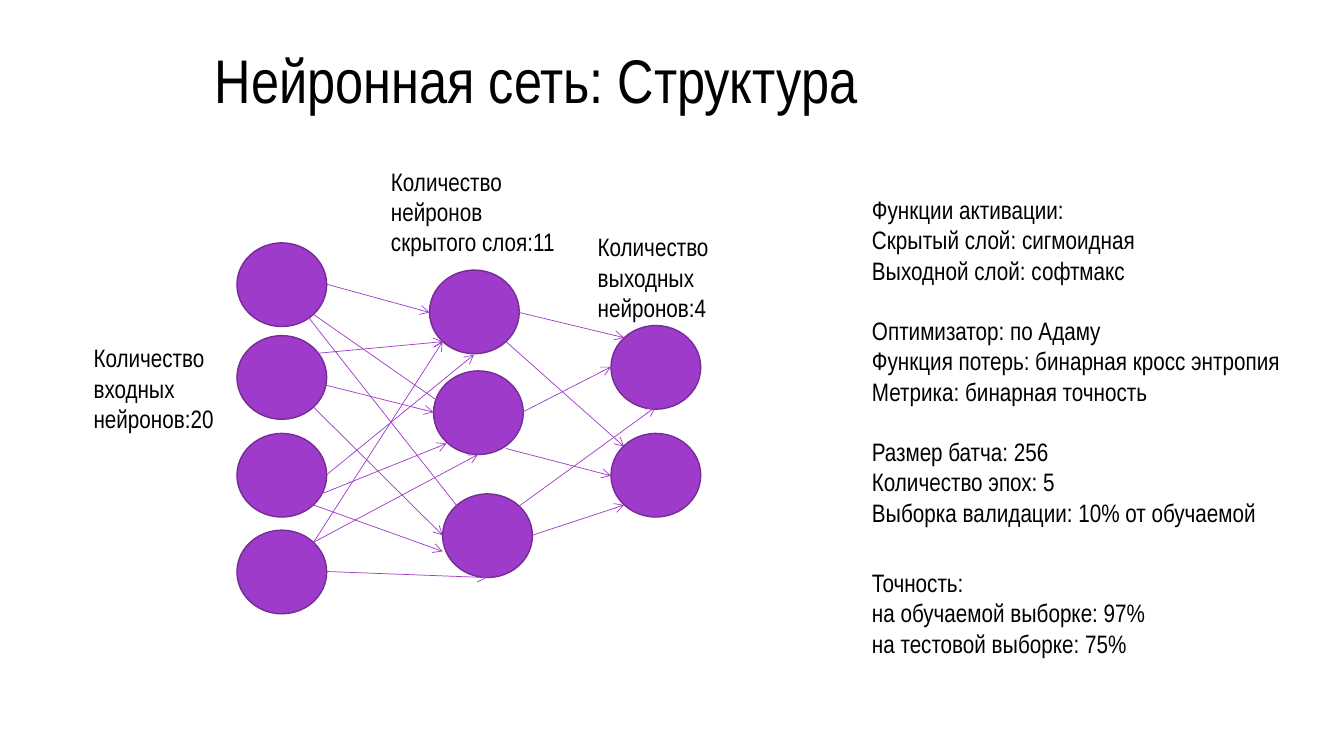
"""Builds a slide that shows the structure of a neural network."""
from typing import NamedTuple

from lxml import etree
from pptx import Presentation
from pptx import util as u
from pptx.dml.color import RGBColor
from pptx.enum import shapes, text
from pptx.oxml.ns import qn

PX = 9144
FONT = "Arial Narrow"
BLACK = RGBColor(0x00, 0x00, 0x00)
PURPLE = RGBColor(0x9E, 0x3B, 0xCA)
DARK_PURPLE = RGBColor(0x75, 0x2C, 0x95)
NEURON_W, NEURON_H = 89, 83
LINE_GAP = 21.6


class Neuron(NamedTuple):
    x: int
    y: int


class Link(NamedTuple):
    x1: int
    y1: int
    x2: int
    y2: int


class Label(NamedTuple):
    x: int
    y: int
    w: int
    h: int
    groups: list[list[str]]


INPUT_LAYER = [Neuron(235, y) for y in (241, 333, 430, 526)]
HIDDEN_LAYER = [Neuron(426, 268), Neuron(430, 368), Neuron(439, 490)]
OUTPUT_LAYER = [Neuron(606, y) for y in (323, 430)]

LINKS = [
    Link(324, 282, 426, 310), Link(311, 312, 446, 406), Link(280, 282, 462, 513),
    Link(299, 352, 439, 339), Link(271, 369, 430, 409), Link(311, 404, 439, 531),
    Link(324, 471, 470, 352), Link(304, 496, 443, 440), Link(311, 501, 439, 547),
    Link(311, 538, 439, 339), Link(311, 538, 474, 451), Link(324, 567, 483, 573),
    Link(515, 310, 619, 335), Link(502, 339, 619, 443), Link(518, 409, 606, 364),
    Link(502, 445, 606, 472), Link(528, 531, 619, 501), Link(515, 502, 650, 404),
]

LABELS = [
    Label(83, 335, 184, 101, [["Количество входных нейронов:20"]]),
    Label(378, 160, 196, 101, [["Количество", "нейронов скрытого слоя:11"]]),
    Label(583, 225, 207, 71, [["Количество", "выходных нейронов:4"]]),
    Label(855, 188, 442, 344, [
        ["Функции активации:", "Скрытый слой: сигмоидная", "Выходной слой: софтмакс"],
        ["Оптимизатор: по Адаму", "Функция потерь: бинарная кросс энтропия",
         "Метрика: бинарная точность"],
        ["Размер батча: 256", "Количество эпох: 5", "Выборка валидации: 10% от обучаемой"],
    ]),
    Label(855, 558, 667, 101, [
        ["Точность:", "на обучаемой выборке: 97%", "на тестовой выборке: 75%"],
    ]),
]


def px(n: int) -> u.Emu:
    return u.Emu(n * PX)


def add_run(p, words: str, size: int) -> None:
    r = p.add_run()
    r.text = words
    r.font.name = FONT
    r.font.size = u.Pt(size)
    r.font.color.rgb = BLACK


def add_title(s, words: str) -> None:
    sp = s.shapes.title
    sp.left, sp.top, sp.width, sp.height = map(px, (203, 40, 1039, 85))
    tf = sp.text_frame
    tf.auto_size = text.MSO_AUTO_SIZE.NONE
    tf.vertical_anchor = text.MSO_ANCHOR.MIDDLE
    p = tf.paragraphs[0]
    p.alignment = text.PP_ALIGN.LEFT
    p.line_spacing = 0.9
    add_run(p, words, 44)


def add_neuron(s, neuron: Neuron) -> None:
    sp = s.shapes.add_shape(shapes.MSO_SHAPE.OVAL, px(neuron.x), px(neuron.y),
                            px(NEURON_W), px(NEURON_H))
    sp.shadow.inherit = False
    sp.fill.solid()
    sp.fill.fore_color.rgb = PURPLE
    sp.line.color.rgb = DARK_PURPLE
    sp.line.width = u.Pt(1)


def add_link(s, link: Link) -> None:
    sp = s.shapes.add_connector(shapes.MSO_CONNECTOR.STRAIGHT, *map(px, link))
    sp.line.color.rgb = PURPLE
    sp.line.width = u.Pt(0.5)
    etree.SubElement(sp.line._get_or_add_ln(), qn("a:tailEnd"), type="arrow")
    etree.SubElement(sp._element.spPr, qn("a:effectLst"))


def add_label(s, label: Label) -> None:
    sp = s.shapes.add_textbox(px(label.x), px(label.y), px(label.w), px(label.h))
    tf = sp.text_frame
    tf.word_wrap = True
    tf.auto_size = text.MSO_AUTO_SIZE.SHAPE_TO_FIT_TEXT
    p = tf.paragraphs[0]
    for i, group in enumerate(label.groups):
        for j, words in enumerate(group):
            if i or j:
                p = tf.add_paragraph()
            if i and not j:
                p.space_before = u.Pt(LINE_GAP)
            add_run(p, words, 18)


def main() -> None:
    prs = Presentation()
    prs.slide_width, prs.slide_height = px(1333), px(750)
    s = prs.slides.add_slide(prs.slide_layouts[5])
    add_title(s, "Нейронная сеть: Структура")
    for neuron in INPUT_LAYER + HIDDEN_LAYER + OUTPUT_LAYER:
        add_neuron(s, neuron)
    for link in LINKS:
        add_link(s, link)
    for label in LABELS:
        add_label(s, label)
    prs.save("out.pptx")


if __name__ == "__main__":
    main()
